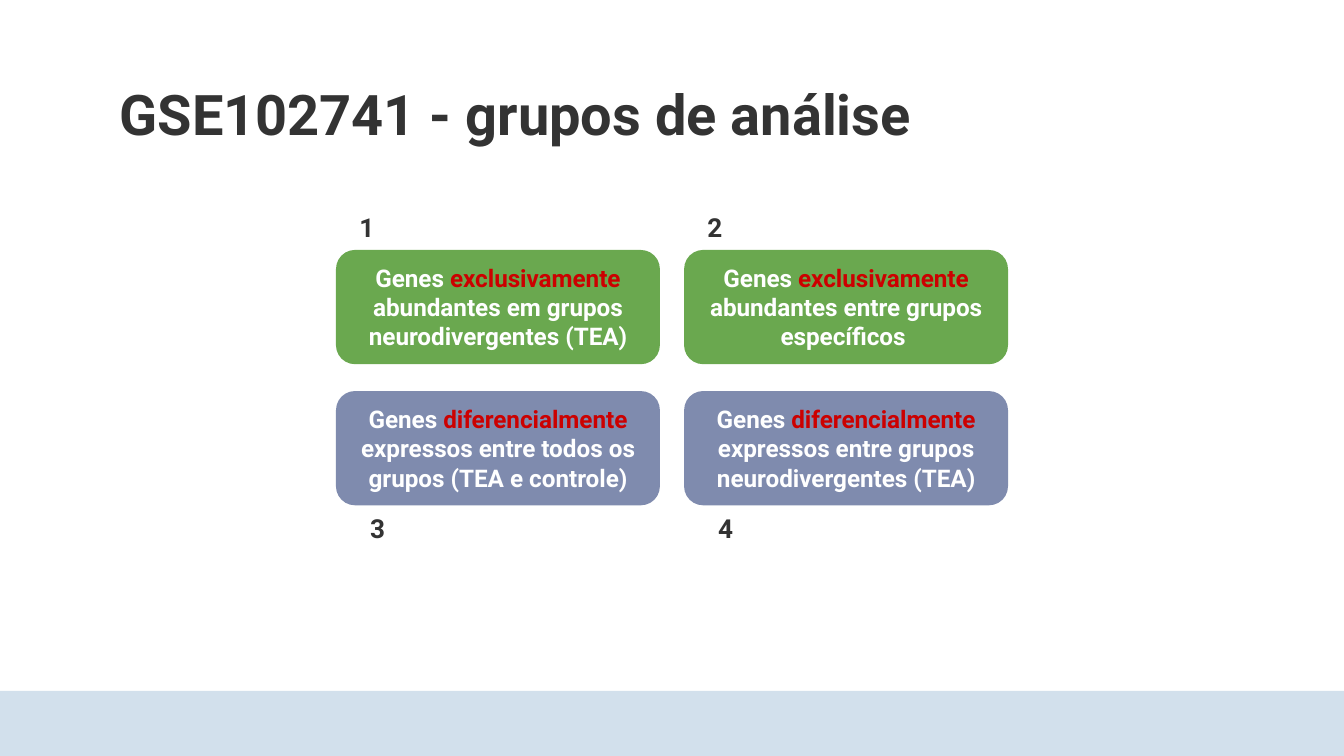
from dataclasses import dataclass

from lxml.etree import SubElement
from pptx import Presentation
from pptx.dml.color import RGBColor
from pptx.enum.shapes import MSO_SHAPE
from pptx.enum.text import MSO_ANCHOR, MSO_AUTO_SIZE, PP_ALIGN
from pptx.oxml.ns import qn
from pptx.util import Inches, Pt

COLORS = {
    "ink": "333333",
    "white": "FFFFFF",
    "red": "CC0000",
    "green": "6AA84F",
    "blue": "7F8BAE",
    "band": "D2E0EC",
}
WIDE = 10
HIGH = WIDE * 9 / 16
LEFT, TOP = 2.5, 1.86
CARD_W, CARD_H = 2.41, 0.85
STEP_X, STEP_Y = 2.59, 1.05
PAD = 0.08
TAG_W, TAG_H = 0.46, 0.34
BAND_Y = 5.14


@dataclass
class Card:
    tag: str
    col: int
    row: int
    fill: str
    key: str
    rest: str

    @property
    def x(self) -> float:
        return LEFT + self.col * STEP_X

    @property
    def y(self) -> float:
        return TOP + self.row * STEP_Y


CARDS = [
    Card("1", 0, 0, "green", "exclusivamente",
         " abundantes em grupos neurodivergentes (TEA)"),
    Card("2", 1, 0, "green", "exclusivamente",
         " abundantes entre grupos específicos "),
    Card("3", 0, 1, "blue", "diferencialmente",
         " expressos entre todos os grupos (TEA e controle)"),
    Card("4", 1, 1, "blue", "diferencialmente",
         " expressos entre grupos neurodivergentes (TEA)"),
]


def place(shape, x: float, y: float, w: float, h: float) -> None:
    shape.left, shape.top = Inches(x), Inches(y)
    shape.width, shape.height = Inches(w), Inches(h)


def write(shape, runs: list[tuple[str, str]], size: float,
          align=PP_ALIGN.CENTER, anchor=MSO_ANCHOR.TOP) -> None:
    """Fill a shape with one unbulleted paragraph of coloured runs."""
    frame = shape.text_frame
    frame.word_wrap = True
    frame.auto_size = MSO_AUTO_SIZE.NONE
    frame.vertical_anchor = anchor
    frame.margin_left = frame.margin_right = Inches(0.1)
    frame.margin_top = frame.margin_bottom = Inches(0.1)
    para = frame.paragraphs[0]
    para.alignment = align
    para.space_before = para.space_after = Pt(0)
    props = para._p.get_or_add_pPr()
    props.set("marL", "0")
    props.set("indent", "0")
    SubElement(props, qn("a:buNone"))
    for text, color in runs:
        run = para.add_run()
        run.text = text
        font = run.font
        font.name, font.size, font.bold = "Roboto", Pt(size), True
        font.color.rgb = RGBColor.from_string(COLORS[color])


def block(slide, kind, fill: str, x: float, y: float, w: float, h: float):
    shape = slide.shapes.add_shape(
        kind, Inches(x), Inches(y), Inches(w), Inches(h))
    shape.shadow.inherit = False
    shape.fill.solid()
    shape.fill.fore_color.rgb = RGBColor.from_string(COLORS[fill])
    shape.line.fill.background()
    return shape


def draw(slide, card: Card, body) -> None:
    """Draw a card behind its body text, with its number on the outer side."""
    back = block(slide, MSO_SHAPE.ROUNDED_RECTANGLE, card.fill,
                 card.x, card.y, CARD_W, CARD_H)
    body.element.addprevious(back.element)
    place(body, card.x + PAD, card.y, CARD_W - 2 * PAD, CARD_H)
    write(body, [("Genes ", "white"), (card.key, "red"),
                 (card.rest, "white")], 13)

    x = card.x + PAD * card.row
    y = card.y + CARD_H if card.row else card.y - TAG_H
    tag = slide.shapes.add_textbox(
        Inches(x), Inches(y), Inches(TAG_W), Inches(TAG_H))
    write(tag, [(card.tag, "ink")], 14, anchor=MSO_ANCHOR.MIDDLE)


def main() -> None:
    deck = Presentation()
    deck.slide_width, deck.slide_height = Inches(WIDE), Inches(HIGH)
    # The comparison layout has a title and four body holders.
    slide = deck.slides.add_slide(deck.slide_layouts[4])
    title, *bodies = slide.placeholders

    band = block(slide, MSO_SHAPE.RECTANGLE, "band",
                 0, BAND_Y, WIDE, HIGH - BAND_Y)
    title.element.addprevious(band.element)
    place(title, 0.79, 0.49, 8.43, 0.63)
    write(title, [("GSE102741 - grupos de análise", "ink")], 30,
          align=PP_ALIGN.LEFT)
    for card, body in zip(CARDS, bodies):
        draw(slide, card, body)
    deck.save("out.pptx")


if __name__ == "__main__":
    main()
